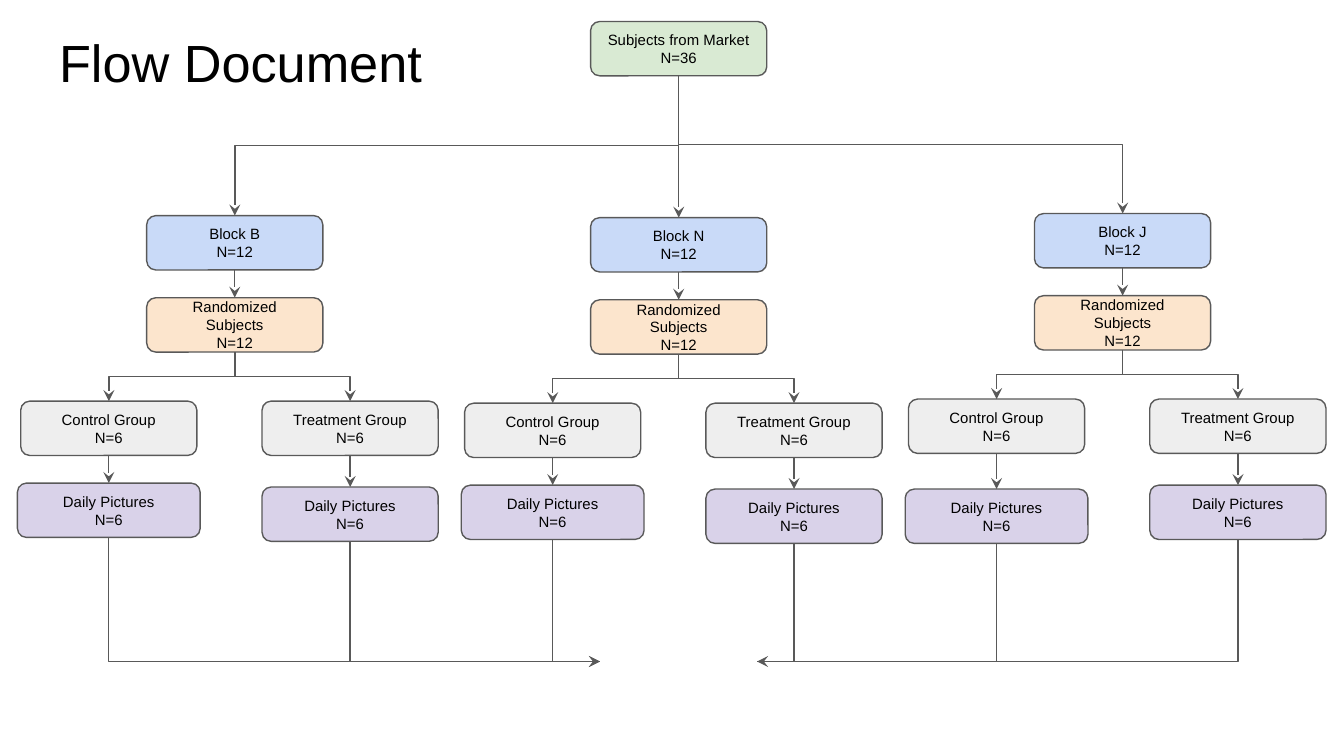
from dataclasses import dataclass

from lxml.etree import SubElement
from pptx import Presentation
from pptx.dml.color import RGBColor
from pptx.enum.shapes import MSO_CONNECTOR as CONN, MSO_SHAPE as SHAPE
from pptx.enum.text import MSO_ANCHOR as ANCHOR, MSO_AUTO_SIZE as AUTO, PP_ALIGN as ALIGN
from pptx.oxml.ns import qn
from pptx.util import Pt

BLACK = RGBColor(0x00, 0x00, 0x00)
GRAY = RGBColor(0x59, 0x59, 0x59)
GREEN = RGBColor(0xD9, 0xEA, 0xD3)
BLUE = RGBColor(0xC9, 0xDA, 0xF8)
ORANGE = RGBColor(0xFC, 0xE5, 0xCD)
LIGHT = RGBColor(0xEE, 0xEE, 0xEE)
PURPLE = RGBColor(0xD9, 0xD2, 0xE9)

FONT = "Arial"
BOX_W, WIDE_W, BOX_H = 94.4, 97.9, 29.1
MIDDLE, COLUMN_GAP = 363.6, 237.8
MERGE_Y, MERGE_LEFT, MERGE_RIGHT = 354.4, 321.4, 405.6


@dataclass
class Box:
    label: str
    n: int
    x: float  # centre
    top: float
    fill: RGBColor
    width: float = BOX_W

    @property
    def bottom(self) -> float:
        return self.top + BOX_H


@dataclass
class Arm:
    label: str
    dx: float
    pictures_top: float
    width: float
    merge_x: float
    head: bool


@dataclass
class Block:
    name: str
    x: float
    top: float
    arms: tuple


def control(pictures_top: float, merge_x: float, head: bool) -> Arm:
    return Arm("Control Group", -67.5, pictures_top, WIDE_W, merge_x, head)


def treatment(pictures_top: float, merge_x: float, head: bool) -> Arm:
    return Arm("Treatment Group", 61.8, pictures_top, BOX_W, merge_x, head)


BLOCKS = (
    Block("Block B", MIDDLE - COLUMN_GAP, 115.5,
          (control(258.8, MERGE_LEFT, True), treatment(260.9, MERGE_LEFT, True))),
    Block("Block N", MIDDLE, 116.6,
          (control(259.9, MERGE_LEFT, False), treatment(262, MERGE_RIGHT, True))),
    Block("Block J", MIDDLE + COLUMN_GAP, 114.4,
          (control(262, MERGE_RIGHT, False), treatment(259.9, MERGE_RIGHT, False))),
)


def set_insets(tf) -> None:
    tf.margin_left = tf.margin_right = tf.margin_top = tf.margin_bottom = Pt(7.2)
    tf.word_wrap = True


def add_run(p, text: str, size: float) -> None:
    r = p.add_run()
    r.text = text
    r.font.name, r.font.size = FONT, Pt(size)
    r.font.color.rgb = BLACK


def add_box(s, box: Box):
    sp = s.shapes.add_shape(SHAPE.ROUNDED_RECTANGLE, Pt(box.x - box.width / 2),
                            Pt(box.top), Pt(box.width), Pt(BOX_H))
    sp.shadow.inherit = False
    sp.fill.solid()
    sp.fill.fore_color.rgb = box.fill
    sp.line.color.rgb, sp.line.width = GRAY, Pt(0.75)
    tf = sp.text_frame
    set_insets(tf)
    tf.vertical_anchor = ANCHOR.MIDDLE
    for i, text in enumerate((box.label, f"N={box.n}")):
        p = tf.add_paragraph() if i else tf.paragraphs[0]
        p.alignment = ALIGN.CENTER
        add_run(p, text, 8)
    return sp


def style_line(c, head: bool = True) -> None:
    c.line.color.rgb, c.line.width = GRAY, Pt(0.75)
    if head:
        SubElement(c.line._get_or_add_ln(), qn("a:tailEnd"), type="stealth")
    SubElement(c._element.spPr, qn("a:effectLst"))


def add_straight(s, upper, lower) -> None:
    c = s.shapes.add_connector(CONN.STRAIGHT, 0, 0, 0, 0)
    c.begin_connect(upper, 2)
    c.end_connect(lower, 0)
    style_line(c)


def add_elbow(s, x1: float, y1: float, x2: float, y2: float,
              corner: bool = False, head: bool = True) -> None:
    """Bent line that leaves downwards: one bend if corner, else two."""
    cx, cy = (x1 + x2) / 2, (y1 + y2) / 2
    half_w, half_h = (y2 - y1) / 2, abs(x2 - x1) / 2  # sides swap when turned
    c = s.shapes.add_connector(CONN.ELBOW, Pt(cx - half_w), Pt(cy - half_h),
                               Pt(cx + half_w), Pt(cy + half_h))
    xfrm = c._element.spPr.find(qn("a:xfrm"))
    if x2 > x1:
        xfrm.set("rot", "16200000")
        xfrm.set("flipH", "1")
    else:
        xfrm.set("rot", "5400000")
    if corner:
        c._element.spPr.find(qn("a:prstGeom")).set("prst", "bentConnector2")
    style_line(c, head)


def add_block(s, block: Block, root: Box, root_sp) -> None:
    # Block and its randomized subjects
    head_sp = add_box(s, Box(block.name, 12, block.x, block.top, BLUE))
    pool = Box("Randomized Subjects", 12, block.x, block.top + 44, ORANGE)
    add_straight(s, head_sp, add_box(s, pool))
    if block.x == root.x:
        add_straight(s, root_sp, head_sp)
    else:
        add_elbow(s, root.x, root.bottom, block.x, block.top)

    # Control and treatment arms, each led to its merge point
    for arm in block.arms:
        x = block.x + arm.dx
        group = Box(arm.label, 6, x, block.top + 99.4, LIGHT)
        pictures = Box("Daily Pictures", 6, x, arm.pictures_top, PURPLE, arm.width)
        add_straight(s, add_box(s, group), add_box(s, pictures))
        add_elbow(s, pool.x, pool.bottom, x, group.top)
        add_elbow(s, x, pictures.bottom, arm.merge_x, MERGE_Y, True, arm.head)


def main() -> None:
    prs = Presentation()
    prs.slide_width, prs.slide_height = Pt(720), Pt(405)
    s = prs.slides.add_slide(prs.slide_layouts[5])

    # Title
    title = s.shapes.title
    title.left, title.top, title.width, title.height = Pt(24.5), Pt(8.8), Pt(671), Pt(45)
    tf = title.text_frame
    set_insets(tf)
    tf.auto_size = AUTO.NONE
    tf.vertical_anchor = ANCHOR.TOP
    tf.paragraphs[0].alignment = ALIGN.LEFT
    add_run(tf.paragraphs[0], "Flow Document", 28)

    # Flow chart
    root = Box("Subjects from Market", 36, MIDDLE, 11.5, GREEN)
    root_sp = add_box(s, root)
    for block in BLOCKS:
        add_block(s, block, root, root_sp)

    prs.save("out.pptx")


if __name__ == "__main__":
    main()
